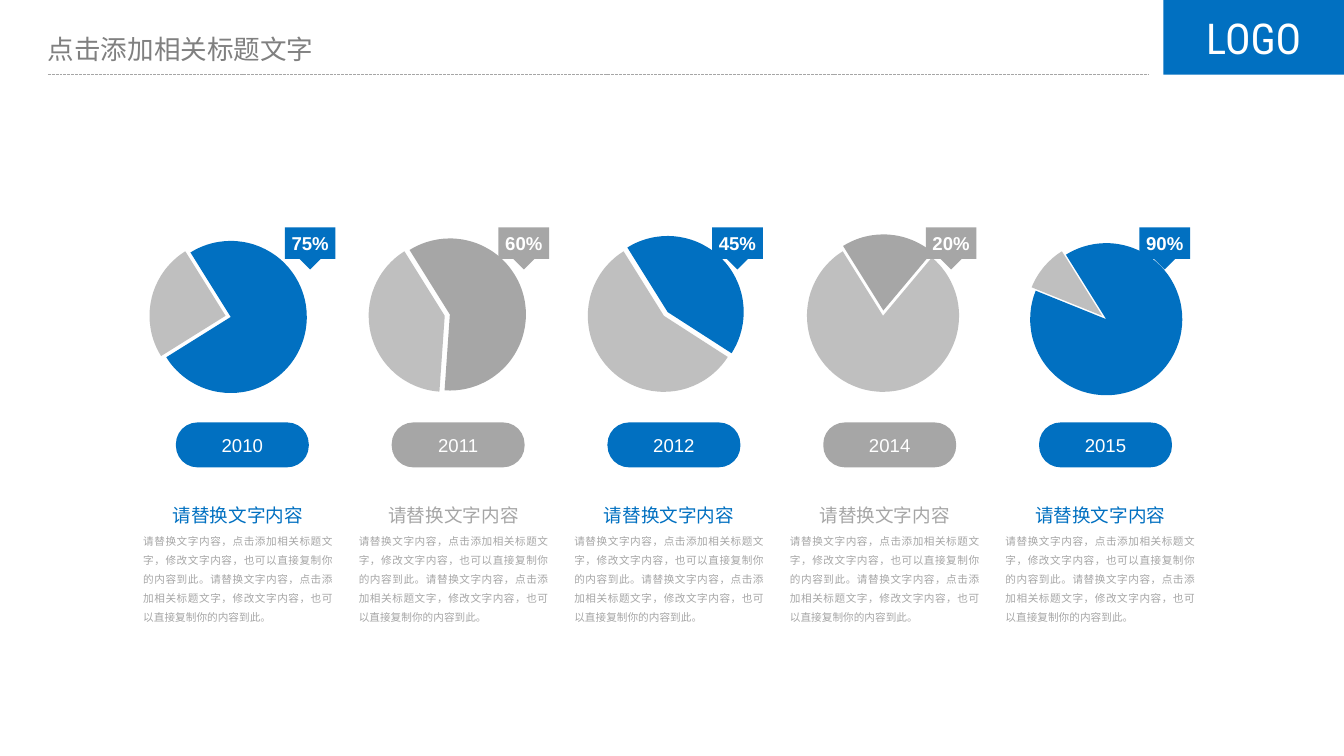
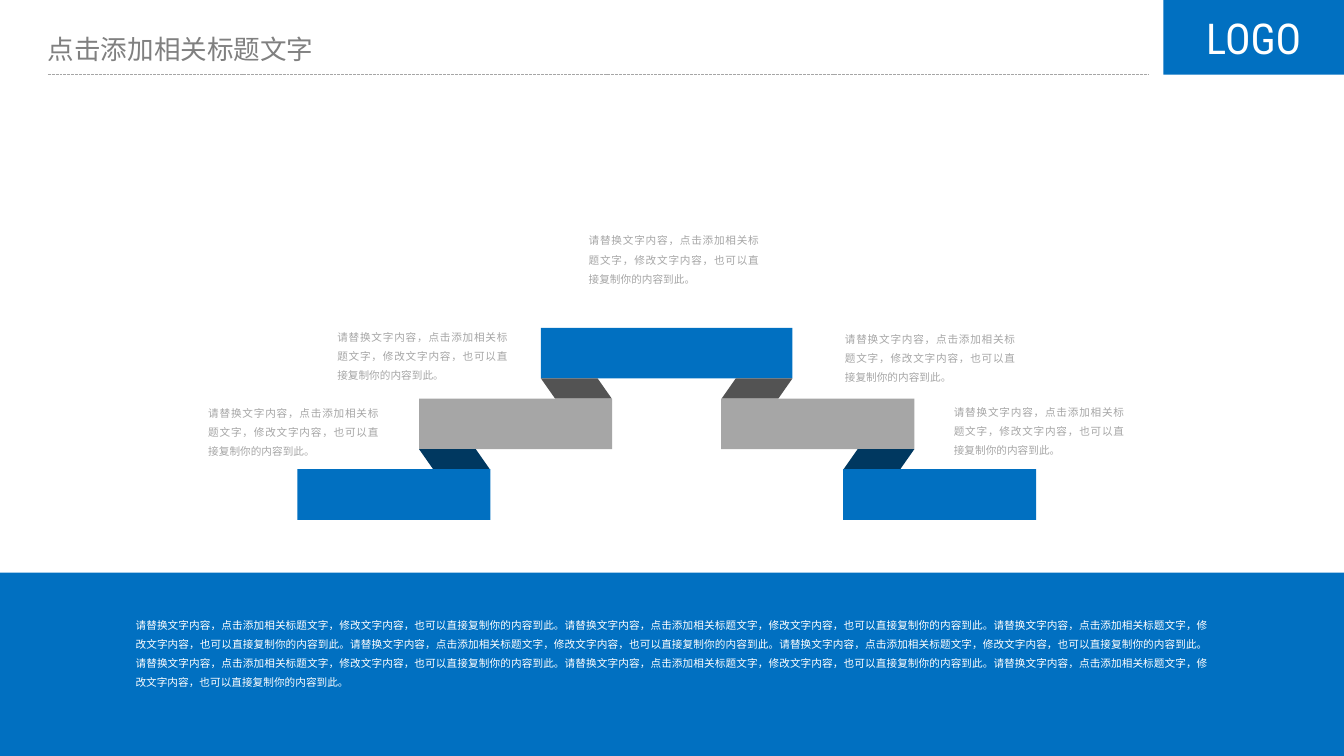
from pptx import Presentation
from pptx.chart.data import CategoryChartData
from pptx.dml.color import RGBColor
from pptx.enum.chart import XL_CHART_TYPE as Chart
from pptx.enum.dml import MSO_LINE_DASH_STYLE as Dash
from pptx.enum.shapes import MSO_CONNECTOR as Connector, MSO_SHAPE as Preset
from pptx.enum.text import MSO_ANCHOR as Anchor, PP_ALIGN as Align
from pptx.oxml import parse_xml
from pptx.oxml.ns import nsdecls, qn
from pptx.util import Inches, Pt
from lxml.etree import SubElement

COLUMNS, ROWS = 140.6, 79.1
BLUE, GREY, PALE, WHITE = "0170C1", "A6A6A6", "BFBFBF", "FFFFFF"
NAVY, CHARCOAL, TITLE_GREY = "003860", "535353", "808080"
LATIN, CHINESE, CONDENSED = "Arial", "Noto Sans CJK SC", "Roboto Condensed"
TITLE = "点击添加相关标题文字"
HEADING = "请替换文字内容"
SENTENCE = "请替换文字内容，点击添加相关标题文字，修改文字内容，也可以直接复制你的内容到此。"


def cells(count):
    return Inches(count / 10)


def color(value):
    return RGBColor.from_string(value)


def spread(first, last, count):
    return [first + (last - first) * i / (count - 1) for i in range(count)]


class Deck:
    """Draws styled elements on the current slide, on a grid of 0.1 inch cells."""

    def __init__(self):
        self.show = Presentation()
        self.show.slide_width, self.show.slide_height = cells(COLUMNS), cells(ROWS)

    def new_slide(self):
        self.slide = self.show.slides.add_slide(self.show.slide_layouts[6])

    def header(self):
        self.rule(5, 120.1, 7.8)
        self.text(4, 2.9, 33.5, 4.1, [TITLE], size=20, ink=TITLE_GREY, font=CHINESE)
        corner = self.shape(Preset.RECTANGLE, 121.7, 0, COLUMNS - 121.7, 7.8, BLUE)
        self.label(corner, "LOGO", size=32, font=CONDENSED)

    def rule(self, left, right, top):
        line = self.slide.shapes.add_connector(
            Connector.STRAIGHT, cells(left), cells(top), cells(right), cells(top))
        line.line.color.rgb = color(GREY)
        line.line.width = Pt(0.75)
        line.line.dash_style = Dash.SQUARE_DOT
        SubElement(line._element.spPr, qn("a:effectLst"))

    def shape(self, preset, left, top, width, height, fill, adjust=(), flip=False):
        shape = self.slide.shapes.add_shape(
            preset, cells(left), cells(top), cells(width), cells(height))
        shape.shadow.inherit = False
        shape.fill.solid()
        shape.fill.fore_color.rgb = color(fill)
        shape.line.fill.background()
        for i, value in enumerate(adjust):
            shape.adjustments[i] = value
        if flip:
            shape._element.spPr.xfrm.set("flipH", "1")
        return shape

    def label(self, shape, words, size=14, font=LATIN, bold=False):
        frame = shape.text_frame
        frame.word_wrap = False
        frame.vertical_anchor = Anchor.MIDDLE
        frame.margin_left = frame.margin_right = 0
        frame.margin_top = frame.margin_bottom = 0
        frame.text = words
        self.style(frame.paragraphs[0], size, WHITE, font, Align.CENTER, bold=bold)

    def text(self, left, top, width, height, lines, anchor=Anchor.TOP, **look):
        frame = self.slide.shapes.add_textbox(
            cells(left), cells(top), cells(width), cells(height)).text_frame
        frame.word_wrap = True
        frame.vertical_anchor = anchor
        frame.text = "\n".join(lines)
        for paragraph in frame.paragraphs:
            self.style(paragraph, **look)
        return frame

    def body(self, left, top, width, height, words, ink=GREY, anchor=Anchor.MIDDLE):
        self.text(left, top, width, height, [words], anchor, size=8, ink=ink,
                  align=Align.JUSTIFY, spacing=1.5)

    def article(self, left, top, width, height, heading, words, ink):
        frame = self.text(left, top, width, height, [heading, words], size=8,
                          ink=GREY, align=Align.JUSTIFY, spacing=1.5)
        first, second = frame.paragraphs
        self.style(first, 14, ink, align=Align.CENTER, spacing=1.5)
        second.space_before = Pt(1.5)

    def style(self, paragraph, size, ink, font=LATIN, align=Align.LEFT,
              spacing=1.0, bold=False):
        paragraph.alignment = align
        paragraph.line_spacing = spacing
        for run in paragraph.runs:
            run.font.size = Pt(size)
            run.font.bold = bold
            run.font.color.rgb = color(ink)
            run.font.name = font
            properties = run._r.get_or_add_rPr()
            if properties.find(qn("a:ea")) is None:
                SubElement(properties, qn("a:ea"), typeface=CHINESE)

    def pie(self, left, top, width, height, share, fill):
        data = CategoryChartData()
        data.categories = ["1", "2"]
        data.add_series("Series 1", (share, 100 - share))
        chart = self.slide.shapes.add_chart(
            Chart.PIE, cells(left), cells(top), cells(width), cells(height), data).chart
        chart.has_legend = chart.has_title = False
        chart.font.size, chart.font.name = Pt(18), LATIN
        chart.font.color.rgb = color("000000")
        plot = chart.plots[0]
        plot.vary_by_categories = True
        for i, tone in enumerate((fill, PALE)):
            slice_format = plot.series[0].points[i].format
            slice_format.fill.solid()
            slice_format.fill.fore_color.rgb = color(tone)
            slice_format.line.fill.background()
        outline = plot.series[0]._element.find(qn("c:dPt")).find(qn("c:spPr"))
        outline.addprevious(parse_xml(f'<c:explosion {nsdecls("c")} val="7"/>'))
        for old in plot._element.findall(qn("c:firstSliceAng")):
            plot._element.remove(old)
        SubElement(plot._element, qn("c:firstSliceAng"), val="328")
        self.inset_plot(chart, 0.8)

    def inset_plot(self, chart, share):
        area = chart._chartSpace.chart.plotArea
        for old in area.findall(qn("c:layout")):
            area.remove(old)
        margin = round((1 - share) / 2, 2)
        entries = (("layoutTarget", "inner"), ("xMode", "edge"), ("yMode", "edge"),
                   ("x", margin), ("y", margin), ("w", share), ("h", share))
        inner = "".join(f'<c:{tag} val="{value}"/>' for tag, value in entries)
        area.insert(0, parse_xml(
            f'<c:layout {nsdecls("c")}><c:manualLayout>{inner}</c:manualLayout></c:layout>'))


def yearly_shares(deck):
    deck.new_slide()
    years = [("2010", 75, "75%"), ("2011", 60, "60%"), ("2012", 43, "45%"),
             ("2014", 20, "20%"), ("2015", 90, "90%")]
    count = len(years)
    places = zip(spread(11.5, 103.2, count), spread(18.4, 108.7, count),
                 spread(14, 104.2, count), spread(29.8, 119.2, count))
    for i, ((year, share, percent), place) in enumerate(zip(years, places)):
        pie, pill, article, flag = place
        tone = (BLUE, GREY)[i % 2]
        deck.pie(pie, 23.1, 24.2, 19.9, share, tone)
        badge = deck.shape(Preset.ROUNDED_RECTANGLE, pill, 44.2, 13.9, 4.7, tone, [0.48])
        deck.label(badge, year)
        deck.article(article, 51.1, 21.8, 14.9, HEADING, SENTENCE * 2, tone)
        callout = deck.shape(Preset.DOWN_ARROW_CALLOUT, flag, 23.8, 5.3, 4.4, tone,
                             [0.25, 0.25, 0.25, 0.75])
        deck.label(callout, percent, bold=True)
    deck.header()


def folded_steps(deck):
    deck.new_slide()
    peak_left, peak_top, peak_width = 56.6, 34.3, 26.3
    bar_width, bar_height, fold_width, fold_height = 20.2, 5.3, 7.4, 2.1
    step_across, step_down = 12.75, bar_height + fold_height
    span = 2 * peak_left + peak_width

    deck.shape(Preset.RECTANGLE, peak_left, peak_top, peak_width, bar_height, BLUE)
    for level, (bar_fill, fold_fill) in enumerate([(GREY, CHARCOAL), (BLUE, NAVY)], 1):
        bar_left = peak_left - step_across * level
        fold_left = bar_left + step_across
        bar_top = peak_top + step_down * level
        for on_left in (True, False):
            fold = fold_left if on_left else span - fold_left - fold_width
            bar = bar_left if on_left else span - bar_left - bar_width
            deck.shape(Preset.PARALLELOGRAM, fold, bar_top - fold_height, fold_width,
                       fold_height, fold_fill, [0.7], flip=on_left)
            deck.shape(Preset.RECTANGLE, bar, bar_top, bar_width, bar_height, bar_fill)

    deck.shape(Preset.RECTANGLE, 0, 59.9, COLUMNS, ROWS - 59.9, BLUE)
    for left, top in [(60.6, 24.1), (20.8, 42.1), (34.3, 34.2), (87.4, 34.4), (98.8, 42)]:
        deck.body(left, top, 19.8, 5.5, SENTENCE)
    deck.body(13.2, 63.6, 114.3, 9, SENTENCE * 8, WHITE, Anchor.TOP)
    deck.header()


def main():
    deck = Deck()
    yearly_shares(deck)
    folded_steps(deck)
    deck.show.save("out.pptx")


if __name__ == "__main__":
    main()
